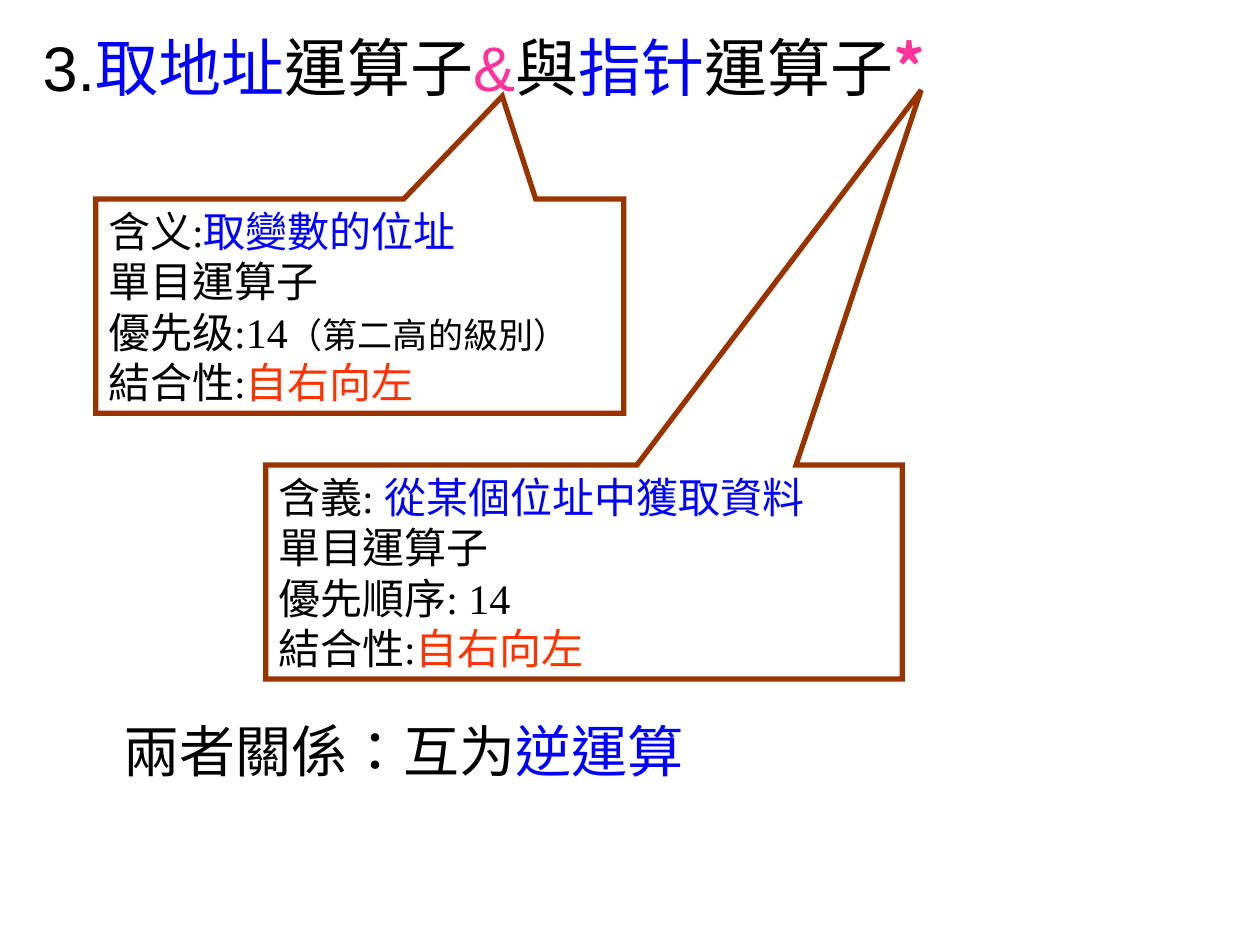
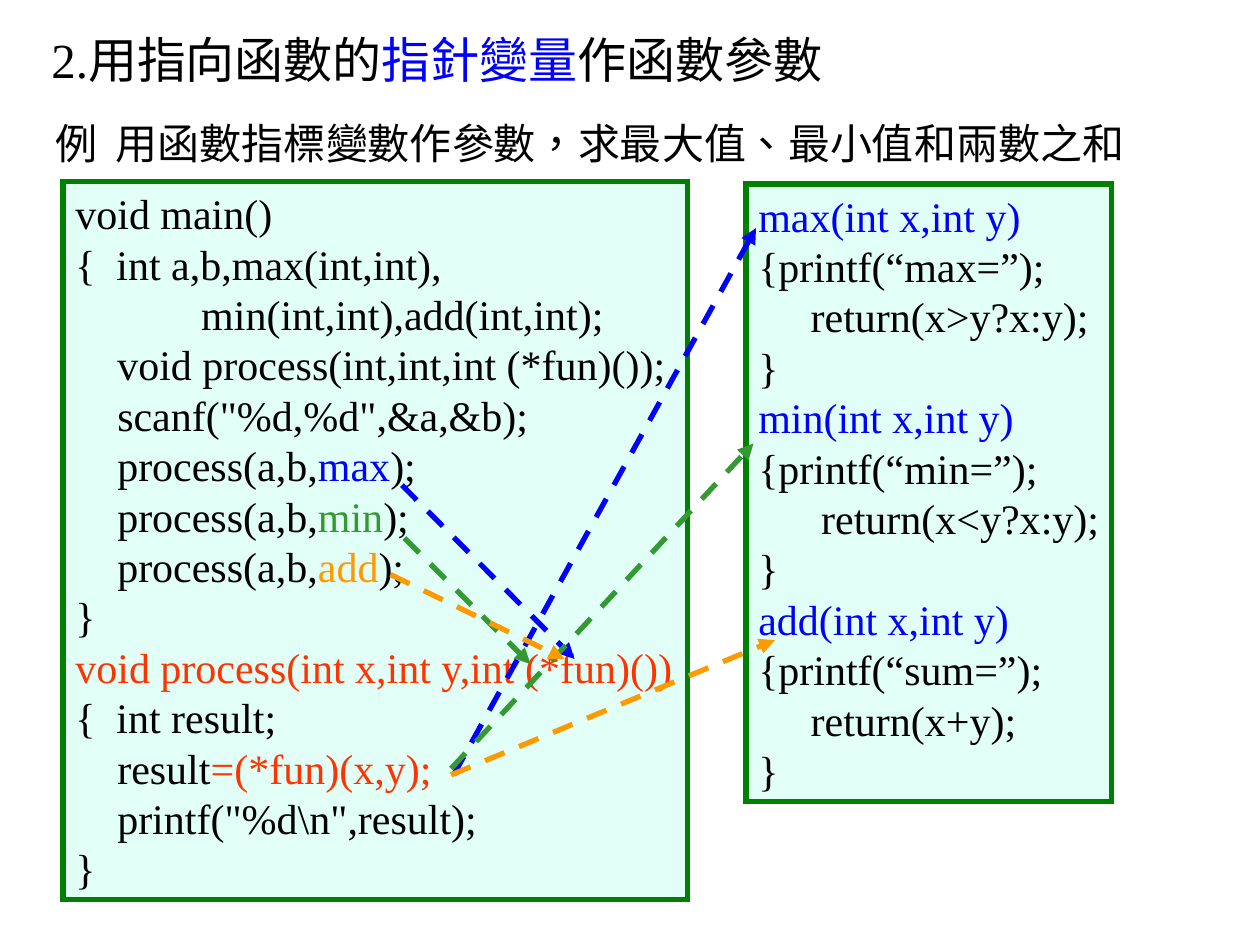
from pptx import Presentation
from pptx.dml.color import RGBColor
from pptx.enum.dml import MSO_LINE
from pptx.enum.lang import MSO_LANGUAGE_ID
from pptx.enum.shapes import MSO_CONNECTOR, MSO_SHAPE
from pptx.enum.text import MSO_ANCHOR, PP_ALIGN
from pptx.oxml.ns import qn
from pptx.util import Inches, Pt
from lxml.etree import SubElement

COLORS = {
    "ink": "000000", "blue": "0000FF", "pink": "FF3399", "red": "FF3300",
    "green": "339933", "orange": "FF9900", "white": "FFFFFF",
    "brown": "993300", "mint": "E1FFF7", "dark_green": "008000",
}
SERIF, SANS, CJK = "Times New Roman", "Arial", "Noto Sans CJK KR"

# The slide is a grid of 100 columns by 75 rows of square cells
COLUMNS, ROWS = 100, 75
CELL = 0.1
LINE_PITCH = 1.2  # line height as a multiple of the text size
CODE_SIZE = 24
LINE_ROWS, MARGIN_ROWS = 4, 1  # one text line, and both vertical margins

FUNCTION_COLORS = {"max": "blue", "min": "green", "add": "orange"}


def cells(*counts):
    return [Inches(count * CELL) for count in counts]


def color(name):
    return RGBColor.from_string(COLORS[name])


def within(box, left, top):
    """Move a position given inside a box onto the slide grid."""
    return box[0] + left, box[1] + top


def text_rows(lines):
    return len(lines) * LINE_ROWS + MARGIN_ROWS


def write(frame, lines, size=CODE_SIZE, font=SERIF, anchor=MSO_ANCHOR.TOP, wrap=True):
    """Fill a frame; a line is a list of plain strings or (text, color, formats)."""
    settings = {
        "word_wrap": wrap, "vertical_anchor": anchor,
        "margin_left": Inches(0.1), "margin_right": Inches(0.1),
        "margin_top": Inches(0.05), "margin_bottom": Inches(0.05),
    }
    for name, value in settings.items():
        setattr(frame, name, value)
    for index, line in enumerate(lines):
        para = frame.paragraphs[0] if index == 0 else frame.add_paragraph()
        para.alignment = PP_ALIGN.LEFT
        para.line_spacing = Pt(size * LINE_PITCH)
        for part in line:
            text, ink, formats = (part, "ink", {}) if isinstance(part, str) else (*part, {})[:3]
            span = para.add_run()
            span.text = text
            span.font.color.rgb = color(ink)
            values = {
                "size": Pt(size), "name": font,
                "language_id": MSO_LANGUAGE_ID.TRADITIONAL_CHINESE,
            } | formats
            for name, value in values.items():
                setattr(span.font, name, value)
            SubElement(span.font._element, qn("a:ea")).set("typeface", CJK)


def add_text(page, box, line, **formats):
    frame = page.shapes.add_textbox(*cells(*box)).text_frame
    write(frame, [line], **formats)
    return frame


def add_title(page, box, line, **formats):
    add_text(page, box, line, anchor=MSO_ANCHOR.MIDDLE, **formats)


def add_panel(page, kind, box, lines, fill, outline, **formats):
    """Draw an outlined shape whose height follows its number of lines."""
    shape = page.shapes.add_shape(kind, *cells(*box, text_rows(lines)))
    shape.shadow.inherit = False
    shape.fill.solid()
    shape.fill.fore_color.rgb = color(fill)
    shape.line.color.rgb = color(outline)
    shape.line.width = Pt(3)
    SubElement(shape.line._get_or_add_ln(), qn("a:miter")).set("lim", "800000")
    write(shape.text_frame, lines, **formats)
    return shape


def add_callout(page, box, tip, lines):
    """Draw a callout; the tip is measured from its centre in shares of its size."""
    callout = add_panel(page, MSO_SHAPE.RECTANGULAR_CALLOUT, box, lines,
                        "white", "brown", anchor=MSO_ANCHOR.MIDDLE)
    for index, share in enumerate(tip):
        callout.adjustments[index] = share


def add_dashed_arrow(page, start, end, ink):
    arrow = page.shapes.add_connector(MSO_CONNECTOR.STRAIGHT, *cells(*start, *end))
    arrow.line.color.rgb = color(ink)
    arrow.line.width = Pt(3)
    arrow.line.dash_style = MSO_LINE.DASH
    SubElement(arrow.line._get_or_add_ln(), qn("a:tailEnd")).set("type", "triangle")
    SubElement(arrow._element.spPr, qn("a:effectLst"))


def operator_callouts(page, box):
    """Explain the two operators, each callout pointing at its symbol."""
    associativity = ["結合性:", ("自右向左", "red")]
    add_callout(page, (*within(box, 0, 0), 41.9), (0.27, -0.98), [
        ["含义:", ("取變數的位址", "blue")],
        ["單目運算子"],
        ["優先级:14", ("（第二高的級別）", "ink", {"size": Pt(20)})],
        associativity,
    ])
    add_callout(page, (*within(box, 13.5, 21.1), 50.5), (0.53, -2.25), [
        ["含義: ", ("從某個位址中獲取資料", "blue")],
        ["單目運算子"],
        ["優先順序: 14"],
        associativity,
    ])


def code_panels(page, box):
    """Place the main program and the three called functions side by side."""
    calls = [["    process(a,b,", (name, ink), ");"] for name, ink in FUNCTION_COLORS.items()]
    program = [
        ["void main()"],
        ["{  int a,b,max(int,int),"],
        ["            min(int,int),add(int,int);"],
        ["    void process(int,int,int (*fun)());"],
        ['    scanf("%d,%d",&a,&b);'],
        *calls,
        ["}"],
        [("void process(int x,int y,int (*fun)())", "red")],
        ["{  int result;"],
        ["    result", ("=(*fun)(x,y);", "red")],
        [r'    printf("%d\n",result);'],
        ["}"],
    ]
    functions = []
    for name, label, result in [
        ("max", "max", "     return(x>y?x:y);"),
        ("min", "min", "      return(x<y?x:y);"),
        ("add", "sum", "     return(x+y);"),
    ]:
        functions += [[(f"{name}(int x,int y)", "blue")],
                      [f"{{printf(“{label}=”);"], [result], ["}"]]
    for left, top, width, lines in [(0, 0, 49.6, program), (54.2, 0.2, 29, functions)]:
        add_panel(page, MSO_SHAPE.RECTANGLE, (*within(box, left, top), width),
                  lines, "mint", "dark_green", wrap=False)


def call_arrows(page, box):
    """Trace each argument to the pointer, and the pointer to its function."""
    routes = {
        "max": [((26.9, 24.1), (40.6, 37.9)), ((31, 47.1), (55, 3.7))],
        "min": [((27.1, 28.3), (37.1, 38.3)), ((30.8, 46.6), (54.8, 20.8))],
        "add": [((26, 31.2), (39.8, 37.9)), ((30.8, 47.1), (56.5, 36.4))],
    }
    for name, arrows in routes.items():
        for start, end in arrows:
            add_dashed_arrow(page, within(box, *start), within(box, *end),
                             FUNCTION_COLORS[name])


def operators_slide(page):
    operator_callouts(page, (7.6, 15.8))
    # Closing statement
    frame = add_text(page, (3.8, 56.4, 61, 5.7),
                     ["兩者關係：互为", ("逆運算", "blue")], size=32)
    properties = frame.paragraphs[0]._p.get_or_add_pPr()
    for name, inches in {"marL": 0.81, "indent": -0.31}.items():
        properties.set(name, str(Inches(inches)))
    # Title
    add_title(page, (2.4, 2.1, 85, 6.3), [
        "3.", ("取地址", "blue"), "運算子", ("&", "pink"), "與", ("指针", "blue"),
        "運算子", ("*", "pink", {"name": CJK, "bold": True}),
    ], size=36, font=SANS)


def function_pointer_slide(page):
    # Example statement, with room to stay on one line
    add_text(page, (3.4, 8.8, 92, 5),
             ["例  用函數指標變數作參數，求最大值、最小值和兩數之和"])
    # Program with its call paths
    program_box = (5, 14.4)
    code_panels(page, program_box)
    call_arrows(page, program_box)
    # Title
    add_title(page, (3.1, 2.3, 66.5, 4.8),
              ["2.用指向函數的", ("指針變量", "blue"), "作函數參數"], size=28)


def main():
    deck = Presentation()
    deck.slide_width, deck.slide_height = cells(COLUMNS, ROWS)
    for build in (operators_slide, function_pointer_slide):
        build(deck.slides.add_slide(deck.slide_layouts[6]))
    deck.save("out.pptx")


if __name__ == "__main__":
    main()
